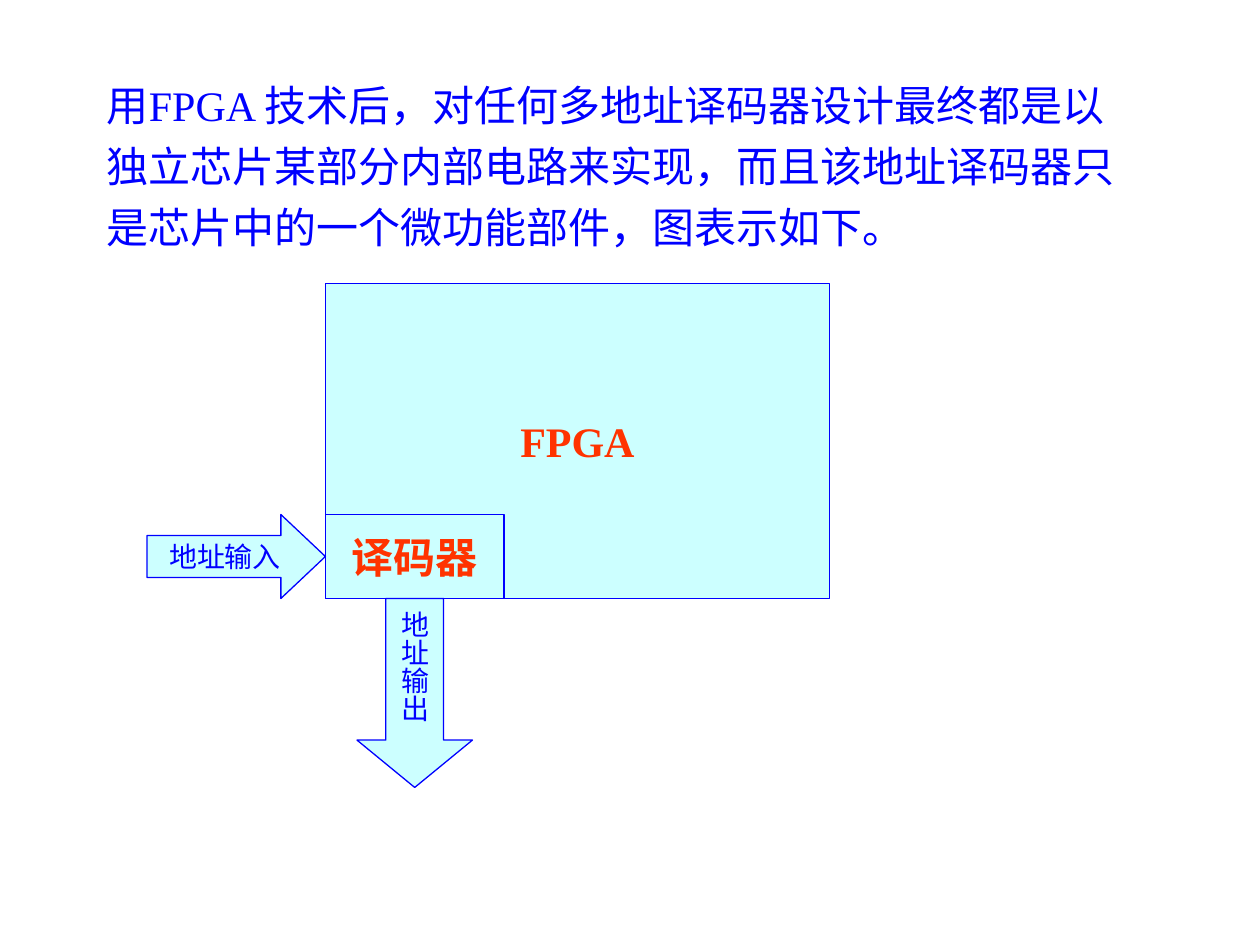
from dataclasses import dataclass

from pptx import Presentation
from pptx.dml.color import RGBColor
from pptx.enum.shapes import MSO_SHAPE
from pptx.enum.text import MSO_ANCHOR, PP_ALIGN
from pptx.util import Pt


@dataclass(frozen=True)
class Theme:
    font: str = "Times New Roman"
    blue: RGBColor = RGBColor(0x00, 0x00, 0xFF)
    red: RGBColor = RGBColor(0xFF, 0x33, 0x00)
    fill: RGBColor = RGBColor(0xCC, 0xFF, 0xFF)
    large: int = 24
    small: int = 16


theme = Theme()


def add_run(para, text, size, color, bold=False):
    run = para.add_run()
    run.text = text
    run.font.name = theme.font
    run.font.size = Pt(size)
    run.font.bold = bold
    run.font.color.rgb = color


deck = Presentation()
deck.slide_width, deck.slide_height = Pt(720), Pt(540)
slide = deck.slides.add_slide(deck.slide_layouts[6])

# Opening text, one paragraph per line with a hanging indent
lines = [
    "用FPGA 技术后，对任何多地址译码器设计最终都是以",
    "独立芯片某部分内部电路来实现，而且该地址译码器只",
    "是芯片中的一个微功能部件，图表示如下。",
]
body = slide.shapes.add_textbox(Pt(54), Pt(42), Pt(612), Pt(132))
frame = body.text_frame
frame.word_wrap = True
for i, line in enumerate(lines):
    para = frame.paragraphs[0] if i == 0 else frame.add_paragraph()
    props = para._p.get_or_add_pPr()
    props.set("marL", str(Pt(27)))
    props.set("indent", str(-Pt(27)))
    if i:
        para.space_before = Pt(6)
    add_run(para, line, theme.large, theme.blue)

# The decoder sits in the lower left corner of the chip
left, base = 186, 342
wide, high = 102, 48
top = base - high
out_wide = 66
out_left = left + (wide - out_wide) / 2

# Kind, place, arrow adjustments, label, size, colour, bold
parts = [
    (MSO_SHAPE.RECTANGLE, (left, base - 180, 288, 180), (),
     "FPGA", theme.large, theme.red, True),
    (MSO_SHAPE.RECTANGLE, (left, top, wide, high), (),
     "译码器", theme.large, theme.red, True),
    (MSO_SHAPE.RIGHT_ARROW, (left - wide, top, wide, high), (0.5, 0.53),
     "地址输入", theme.small, theme.blue, False),
    (MSO_SHAPE.DOWN_ARROW, (out_left, base, out_wide, 108), (0.5, 0.41),
     "地址输出", theme.small, theme.blue, False),
]

# Chip, decoder and the two arrows
for kind, place, adjust, label, size, color, bold in parts:
    shape = slide.shapes.add_shape(kind, *(Pt(v) for v in place))
    for i, value in enumerate(adjust):
        shape.adjustments[i] = value
    shape.shadow.inherit = False
    shape.fill.solid()
    shape.fill.fore_color.rgb = theme.fill
    shape.line.color.rgb = theme.blue
    shape.line.width = Pt(0.75)
    frame = shape.text_frame
    frame.word_wrap = False
    frame.vertical_anchor = MSO_ANCHOR.MIDDLE
    if kind == MSO_SHAPE.DOWN_ARROW:
        # Upright characters stacked from top to bottom
        shape._element.txBody.bodyPr.set("vert", "eaVert")
        frame.margin_left = frame.margin_right = Pt(3.6)
        frame.margin_top = frame.margin_bottom = Pt(7.2)
    para = frame.paragraphs[0]
    para.alignment = PP_ALIGN.CENTER
    add_run(para, label, size, color, bold)

deck.save("out.pptx")
